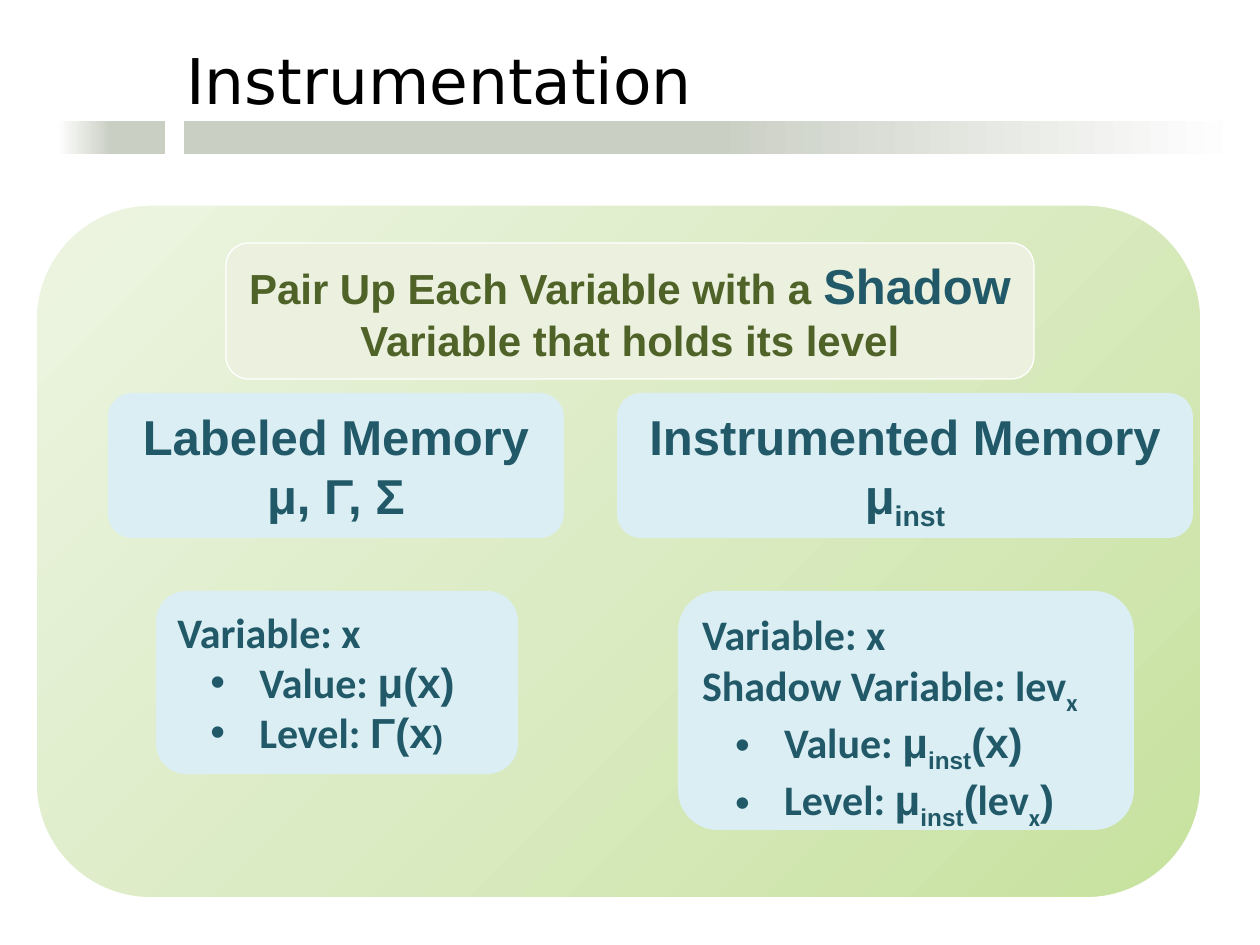
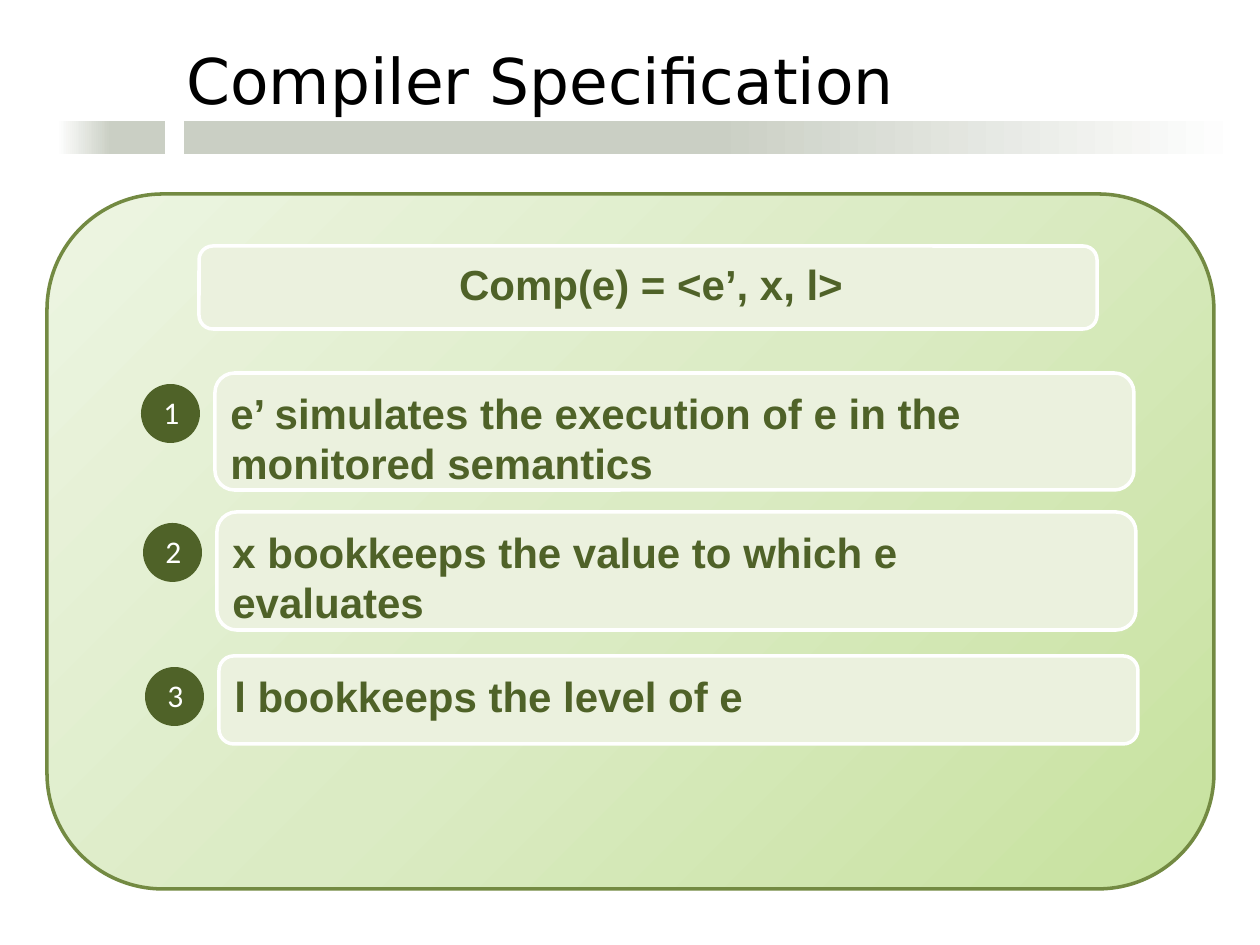
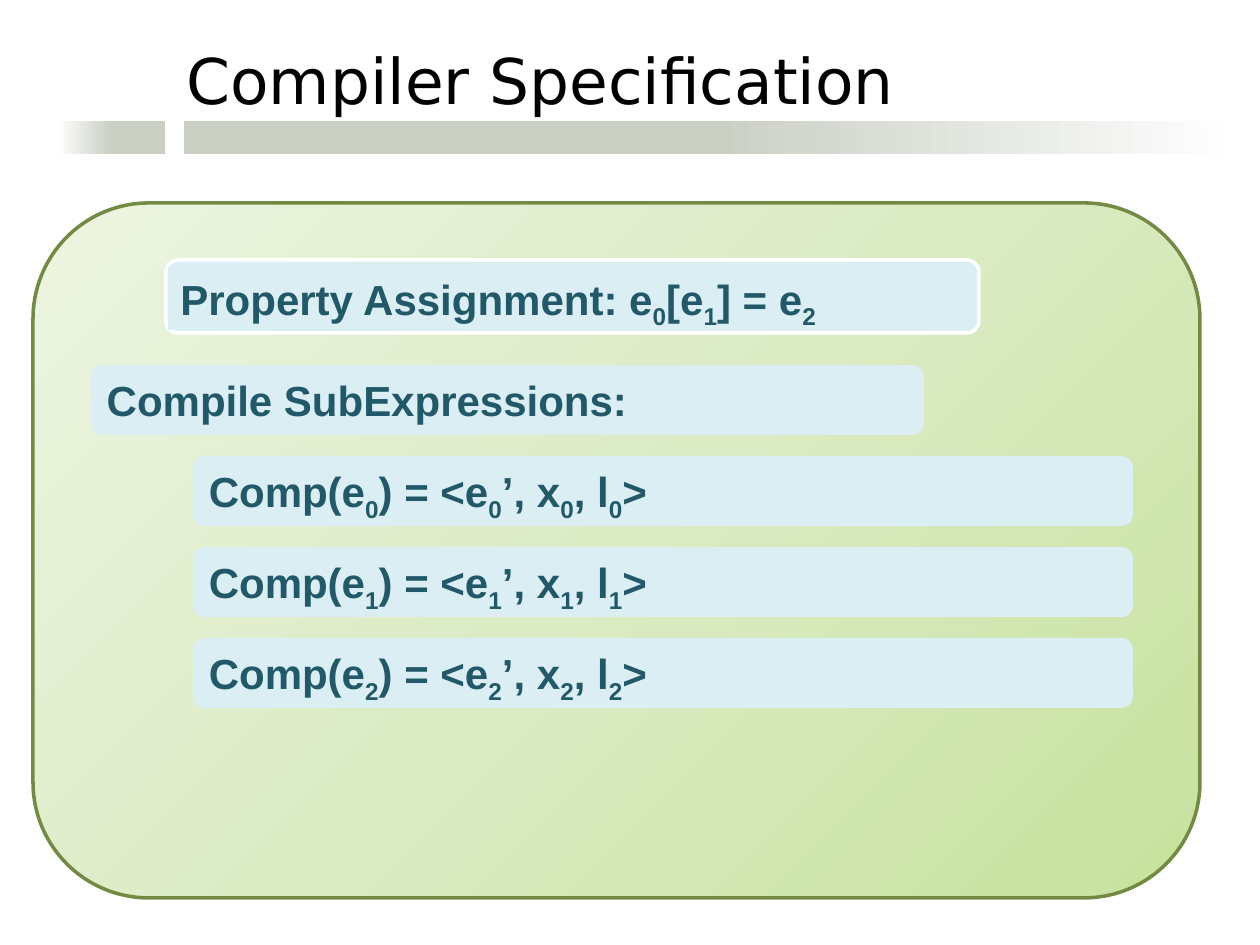
from dataclasses import dataclass, replace
from typing import NamedTuple

from pptx import Presentation
from pptx.dml.color import RGBColor
from pptx.enum.shapes import MSO_SHAPE as Preset
from pptx.enum.text import MSO_AUTO_SIZE as AutoSize, MSO_ANCHOR as Anchor, PP_ALIGN as Align
from pptx.oxml import parse_xml
from pptx.oxml.ns import nsdecls
from pptx.util import Emu, Pt

PIXEL = 914400 / 126
GREY, WHITE, BLACK = "CACFC4", "FFFFFF", "000000"
OLIVE, MOSS, CREAM = "4F6228", "738A42", "EBF1DE"
TEAL, SKY = "215968", "DBEEF4"
BAND_STOPS = ((50, GREY), (100, WHITE))
PANEL_STOPS = ((0, "C7E29E"), (50, "DBEBC4"), (100, "EDF5E2"))
LINEAR = '<a:lin ang="0" scaled="1"/>'
CORNER = '<a:path path="circle"><a:fillToRect l="100000" t="100000"/></a:path>'


class Area(NamedTuple):
    left: int
    top: int
    width: int
    height: int

    def emu(self) -> list[Emu]:
        return [px(value) for value in self]


@dataclass(frozen=True)
class Style:
    size: int
    color: str
    font: str = "Arial"
    bold: bool = True


class Piece(NamedTuple):
    text: str
    style: Style


@dataclass(frozen=True)
class Line:
    pieces: tuple[Piece, ...]
    align: Align = Align.LEFT
    bullet: bool = False


@dataclass(frozen=True)
class Box:
    area: Area
    fill: str | None = None
    lines: tuple[Line, ...] = ()
    border: str | None = None
    weight: float = 2
    preset: Preset = Preset.ROUNDED_RECTANGLE


class Property(NamedTuple):
    left: int
    top: int
    height: int
    text: str
    text_width: int
    text_height: int


TITLE = Style(36, BLACK, "DejaVu Sans", False)
NUMBER = Style(18, WHITE, "Calibri", False)
GREEN = Style(24, OLIVE)
BLUE = Style(24, TEAL)
LARGE = replace(BLUE, size=28)
SMALL = replace(BLUE, size=18)
LABEL = replace(BLUE, font="Calibri")


def px(value: float) -> Emu:
    return Emu(round(value * PIXEL))


def rgb(color: str) -> RGBColor:
    return RGBColor.from_string(color)


def line(*pieces: tuple[str, Style], align: Align = Align.LEFT, bullet: bool = False) -> Line:
    return Line(tuple(Piece(*piece) for piece in pieces), align, bullet)


def centred(*pieces: tuple[str, Style]) -> Line:
    return line(*pieces, align=Align.CENTER)


def bulleted(*pieces: tuple[str, Style]) -> Line:
    return line(*pieces, bullet=True)


def add_piece(para, piece: Piece) -> None:
    for index, text in enumerate(piece.text.split("_")):
        if not text:
            continue
        span = para.add_run()
        span.text = text
        span.font.size = Pt(piece.style.size)
        span.font.name = piece.style.font
        span.font.bold = piece.style.bold
        span.font.color.rgb = rgb(piece.style.color)
        if index % 2:
            span._r.get_or_add_rPr().set("baseline", "-25000")


def set_bullet(para) -> None:
    para.level = 1
    properties = para._p.get_or_add_pPr()
    properties.set("marL", str(px(82)))
    properties.set("indent", str(px(-49)))
    properties.append(parse_xml(f'<a:buFont {nsdecls("a")} typeface="Arial"/>'))
    properties.append(parse_xml(f'<a:buChar {nsdecls("a")} char="•"/>'))


def write(shape, lines: tuple[Line, ...]) -> None:
    frame = shape.text_frame
    frame.word_wrap = True
    frame.auto_size = AutoSize.SHAPE_TO_FIT_TEXT
    frame.vertical_anchor = Anchor.TOP
    for index, item in enumerate(lines):
        para = frame.add_paragraph() if index else frame.paragraphs[0]
        para.alignment = item.align
        if item.bullet:
            set_bullet(para)
        for piece in item.pieces:
            add_piece(para, piece)


def draw(shapes, box: Box):
    if box.fill is None and box.lines:
        shape = shapes.add_textbox(*box.area.emu())
    else:
        shape = shapes.add_shape(box.preset, *box.area.emu())
        shape.shadow.inherit = False
        if box.fill:
            shape.fill.solid()
            shape.fill.fore_color.rgb = rgb(box.fill)
        if box.border:
            shape.line.color.rgb = rgb(box.border)
            shape.line.width = Pt(box.weight)
        else:
            shape.line.fill.background()
    if box.lines:
        write(shape, box.lines)
    return shape


def shade(shape, stops: tuple[tuple[int, str], ...], direction: str) -> None:
    marks = "".join(
        f'<a:gs pos="{place * 1000}"><a:srgbClr val="{color}"/></a:gs>' for place, color in stops
    )
    gradient = parse_xml(
        f'<a:gradFill {nsdecls("a")} rotWithShape="1"><a:gsLst>{marks}</a:gsLst>{direction}</a:gradFill>'
    )
    shape.element.spPr.insert(2, gradient)


def add_page(deck, title: str, panel: Area, border: str):
    page = deck.slides.add_slide(deck.slide_layouts[6])
    for area, turn in ((Area(184, 121, 1057, 33), 0), (Area(57, 121, 108, 33), 180)):
        band = draw(page.shapes, Box(area, preset=Preset.RECTANGLE))
        band.rotation = turn
        shade(band, BAND_STOPS, LINEAR)
    draw(page.shapes, Box(Area(174, 35, 977, 89), lines=(line((title, TITLE)),)))
    shade(draw(page.shapes, Box(panel, border=border)), PANEL_STOPS, CORNER)
    return page


def build_instrumentation(deck) -> None:
    page = add_page(deck, "Instrumentation", Area(35, 204, 1167, 695), WHITE)
    boxes = (
        Box(
            Area(226, 243, 808, 136),
            CREAM,
            (
                centred(
                    ("Pair Up Each Variable with a ", GREEN),
                    ("Shadow", LARGE),
                    (" Variable that holds its level", GREEN),
                ),
            ),
            WHITE,
            0.75,
        ),
        Box(
            Area(156, 591, 362, 183),
            SKY,
            (
                line(("Variable: x", LABEL)),
                bulleted(("Value: ", LABEL), ("μ(x)", BLUE)),
                bulleted(("Level: ", LABEL), ("Γ(x", BLUE), (")", SMALL)),
            ),
        ),
        Box(
            Area(108, 393, 456, 145),
            SKY,
            (centred(("Labeled Memory", LARGE)), centred(("μ, Γ, Σ", LARGE))),
        ),
        Box(
            Area(617, 393, 576, 145),
            SKY,
            (centred(("Instrumented Memory", LARGE)), centred(("μ_inst_", LARGE))),
        ),
        Box(
            Area(678, 591, 456, 239),
            SKY,
            (
                line(("Variable: x", LABEL)),
                line(("Shadow Variable: lev_x_", LABEL)),
                bulleted(("Value: ", LABEL), ("μ_inst_(x)", BLUE)),
                bulleted(("Level: ", LABEL), ("μ_inst_(", BLUE), ("lev_x_", LABEL), (")", BLUE)),
            ),
        ),
    )
    for box in boxes:
        draw(page.shapes, box)


def draw_property(page, number: int, item: Property) -> None:
    group = page.shapes.add_group_shape()
    left, top = item.left, item.top
    boxes = (
        Box(Area(left, top, 919, item.height), CREAM, border=WHITE),
        Box(Area(left - 74, top + 11, 59, 59), OLIVE, preset=Preset.OVAL),
        Box(Area(left - 64, top + 14, 37, 50), lines=(line((str(number), NUMBER)),)),
        Box(
            Area(left + 3, top + 8, item.text_width, item.text_height),
            lines=(line((item.text, GREEN)),),
        ),
    )
    for box in boxes:
        draw(group.shapes, box)


def build_properties(deck) -> None:
    page = add_page(deck, "Compiler Specification", Area(47, 194, 1167, 695), MOSS)
    draw(page.shapes, Box(Area(199, 246, 898, 83), CREAM, border=WHITE))
    formula = centred(("Comp(e) = <e’, x, l>", GREEN))
    draw(page.shapes, Box(Area(214, 252, 874, 63), lines=(formula,)))
    properties = (
        Property(215, 373, 117, "e’ simulates the execution of e in the monitored semantics", 815, 115),
        Property(217, 512, 118, "x bookkeeps the value to which e evaluates", 815, 115),
        Property(219, 656, 88, "l bookkeeps the level of e", 934, 63),
    )
    for number, item in enumerate(properties, 1):
        draw_property(page, number, item)


def build_assignment(deck) -> None:
    page = add_page(deck, "Compiler Specification", Area(33, 203, 1167, 695), MOSS)
    group = page.shapes.add_group_shape()
    draw(group.shapes, Box(Area(166, 260, 813, 73), SKY, border=WHITE))
    heading = line(("Property Assignment: e_0_[e_1_] = e_2_", BLUE))
    draw(group.shapes, Box(Area(168, 267, 785, 63), SKY, (heading,), preset=Preset.RECTANGLE))
    step = line(("Compile SubExpressions:", BLUE))
    draw(page.shapes, Box(Area(91, 365, 833, 70), SKY, (step,)))
    for index in range(3):
        formula = "Comp(e_#_) = <e_#_’, x_#_, l_#_>".replace("#", str(index))
        area = Area(193, 456 + 91 * index, 940, 70)
        draw(page.shapes, Box(area, SKY, (line((formula, BLUE)),)))


def main() -> None:
    deck = Presentation()
    deck.slide_width, deck.slide_height = px(1260), px(945)
    build_instrumentation(deck)
    build_properties(deck)
    build_assignment(deck)
    deck.save("out.pptx")


main()
